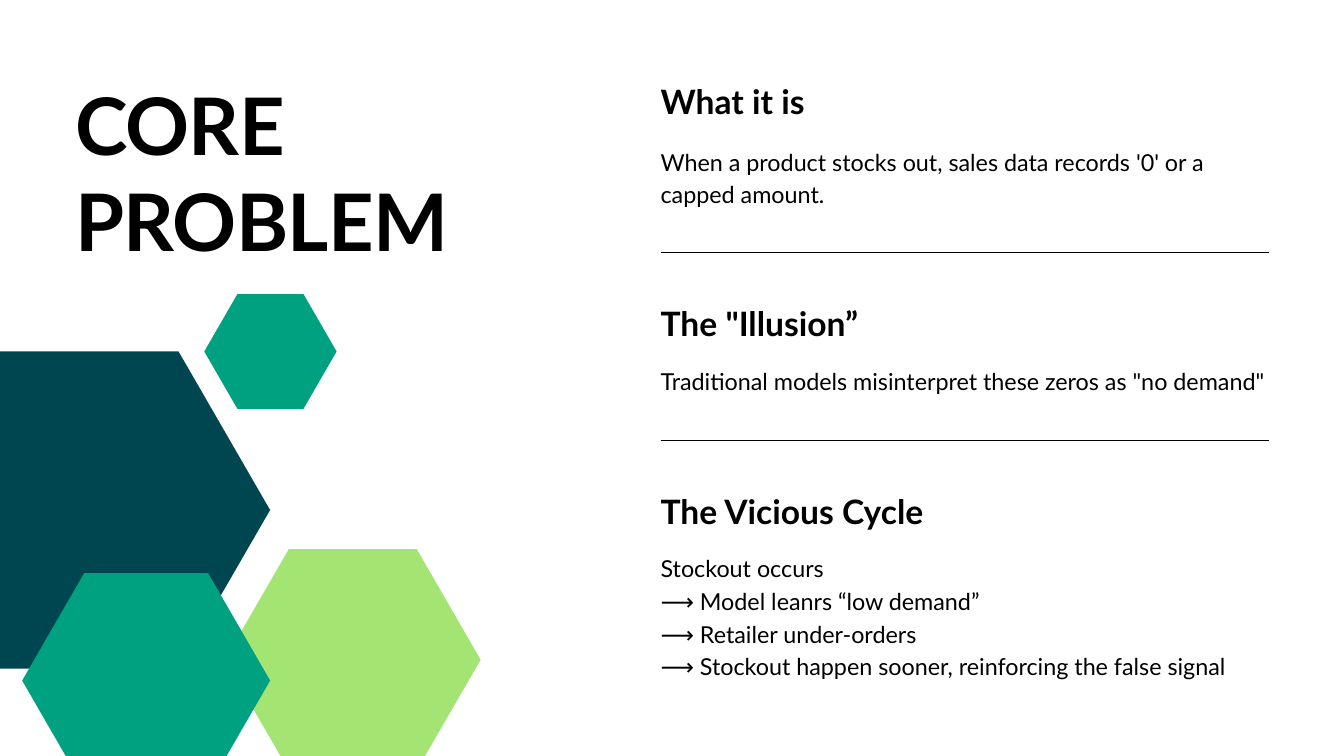
import math

from lxml import etree
from pptx import Presentation
from pptx.dml.color import RGBColor
from pptx.enum.shapes import MSO_CONNECTOR, MSO_SHAPE
from pptx.enum.text import MSO_ANCHOR, MSO_AUTO_SIZE, PP_ALIGN
from pptx.oxml.ns import qn
from pptx.util import Pt

HEXAGON = MSO_SHAPE.HEXAGON
STRAIGHT = MSO_CONNECTOR.STRAIGHT
TOP = MSO_ANCHOR.TOP
NO_AUTOFIT = MSO_AUTO_SIZE.NONE
LEFT = PP_ALIGN.LEFT

FONT = "Lato"
BLACK, NAVY, TEAL, LIME = "000000", "004651", "00A181", "A4E473"
COLUMN_LEFT, COLUMN_WIDTH = 707.8, 651.6

# Centre x, centre y, width, colour, from back to front
HEXAGONS = [
    (93.2, 546.5, 392.4, NAVY),
    (378, 706.9, 274, LIME),
    (289.8, 376.6, 141.8, TEAL),
    (156.6, 729.2, 265.7, TEAL),
]

# Top, width, gap from heading to body, heading, body lines
SECTIONS = [
    (87.1, 651.6, 66.3, "What it is",
     ["When a product stocks out, sales data records '0' or a capped amount."]),
    (324.7, 691.2, 63.4, "The \"Illusion”",
     ["Traditional models misinterpret these zeros as \"no demand\""]),
    (525.6, 651.6, 63.4, "The Vicious Cycle",
     ["Stockout occurs",
      "⟶ Model leanrs “low demand”",
      "⟶ Retailer under-orders",
      "⟶ Stockout happen sooner, reinforcing the false signal"]),
]
RULE_TOPS = [270.7, 472.3]


def color(hex_string):
    return RGBColor.from_string(hex_string)


def place(shape, left, top, width, height):
    shape.left, shape.top = Pt(left), Pt(top)
    shape.width, shape.height = Pt(width), Pt(height)


def write(shape, lines, size, leading, bold=False, tracking=None):
    frame = shape.text_frame
    frame.margin_left = frame.margin_right = 0
    frame.margin_top = frame.margin_bottom = 0
    frame.word_wrap = True
    frame.auto_size = NO_AUTOFIT
    frame.vertical_anchor = TOP
    frame.text = "\n".join(lines)
    for para in frame.paragraphs:
        para.alignment = LEFT
        para.line_spacing = Pt(leading)
        para.space_before = para.space_after = Pt(0)
        for span in para.runs:
            span.font.name = FONT
            span.font.size = Pt(size)
            span.font.bold = bold
            span.font.color.rgb = color(BLACK)
            if tracking is not None:
                span.font._element.set("spc", str(round(tracking * 100)))


def add_title(page, left, top, width, height):
    title = page.shapes.title
    place(title, left, top, width, height)
    write(title, ["CORE PROBLEM"], 85, 102, bold=True, tracking=-0.8)


def add_hexagon(page, center_x, center_y, width, fill):
    height = width * math.sqrt(3) / 2
    hexagon = page.shapes.add_shape(
        HEXAGON, Pt(center_x - width / 2), Pt(center_y - height / 2),
        Pt(width), Pt(height))
    # The corner inset is a quarter of the width, measured against the height
    hexagon.adjustments[0] = width / 4 / height
    hexagon.shadow.inherit = False
    hexagon.fill.solid()
    hexagon.fill.fore_color.rgb = color(fill)
    hexagon.line.fill.background()


def add_section(page, left, top, width, gap, heading, lines):
    heading_box = page.shapes.add_textbox(Pt(left), Pt(top), Pt(width), Pt(42))
    write(heading_box, [heading], 36, 43.2, bold=True)
    body_height = 35 * max(len(lines), 1)
    body_box = page.shapes.add_textbox(
        Pt(left), Pt(top + gap), Pt(width), Pt(body_height))
    write(body_box, lines, 25, 35)


def add_rule(page, left, top, width):
    rule = page.shapes.add_connector(
        STRAIGHT, Pt(left), Pt(top), Pt(left + width), Pt(top))
    rule.line.color.rgb = color(BLACK)
    rule.line.width = Pt(0.75)
    etree.SubElement(rule._element.spPr, qn("a:effectLst"))


def main():
    deck = Presentation()
    deck.slide_width, deck.slide_height = Pt(1440), Pt(810)
    page = deck.slides.add_slide(deck.slide_layouts.get_by_name("Title Only"))
    page.background.fill.solid()
    page.background.fill.fore_color.rgb = color("FFFFFF")

    # Left side: title and hexagon cluster
    add_title(page, 80.6, 82.1, 434.2, 201.6)
    for hexagon in HEXAGONS:
        add_hexagon(page, *hexagon)

    # Right side: three sections parted by rules
    for section in SECTIONS:
        add_section(page, COLUMN_LEFT, *section)
    for top in RULE_TOPS:
        add_rule(page, COLUMN_LEFT, top, COLUMN_WIDTH)

    deck.save("out.pptx")


if __name__ == "__main__":
    main()
